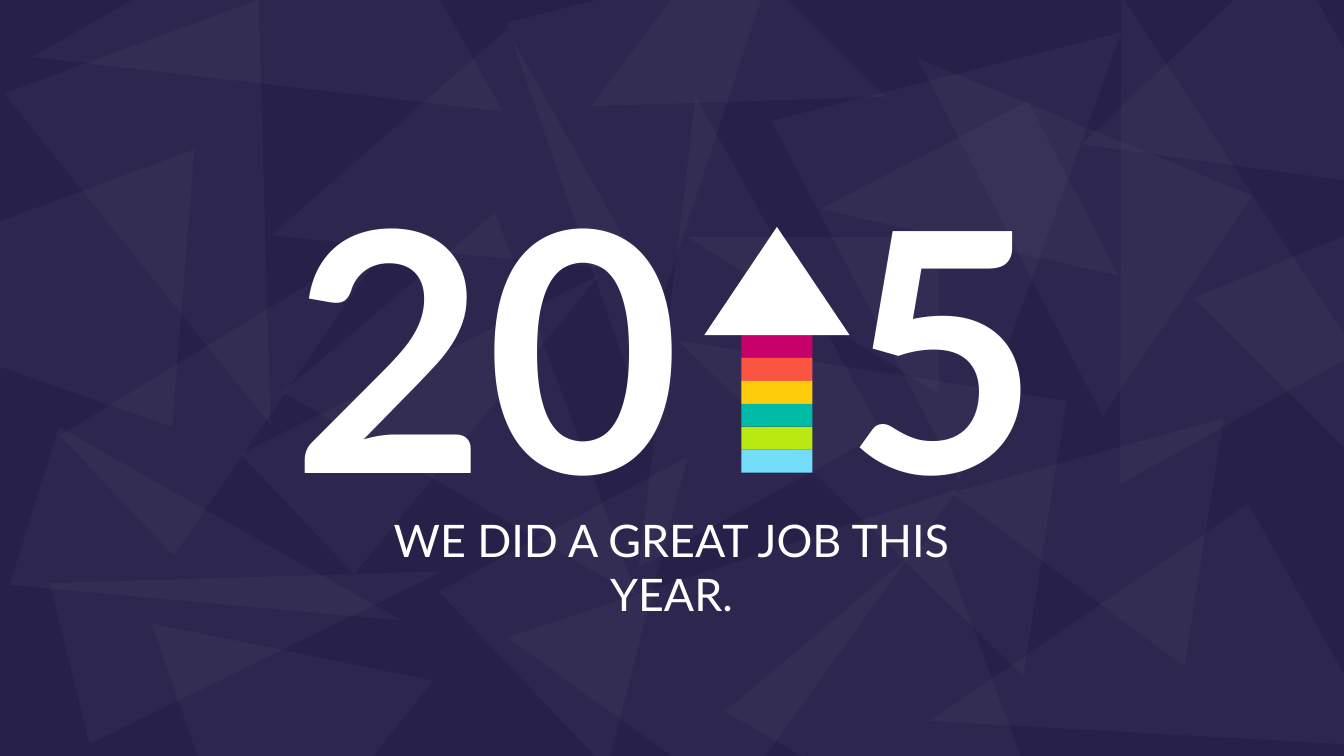
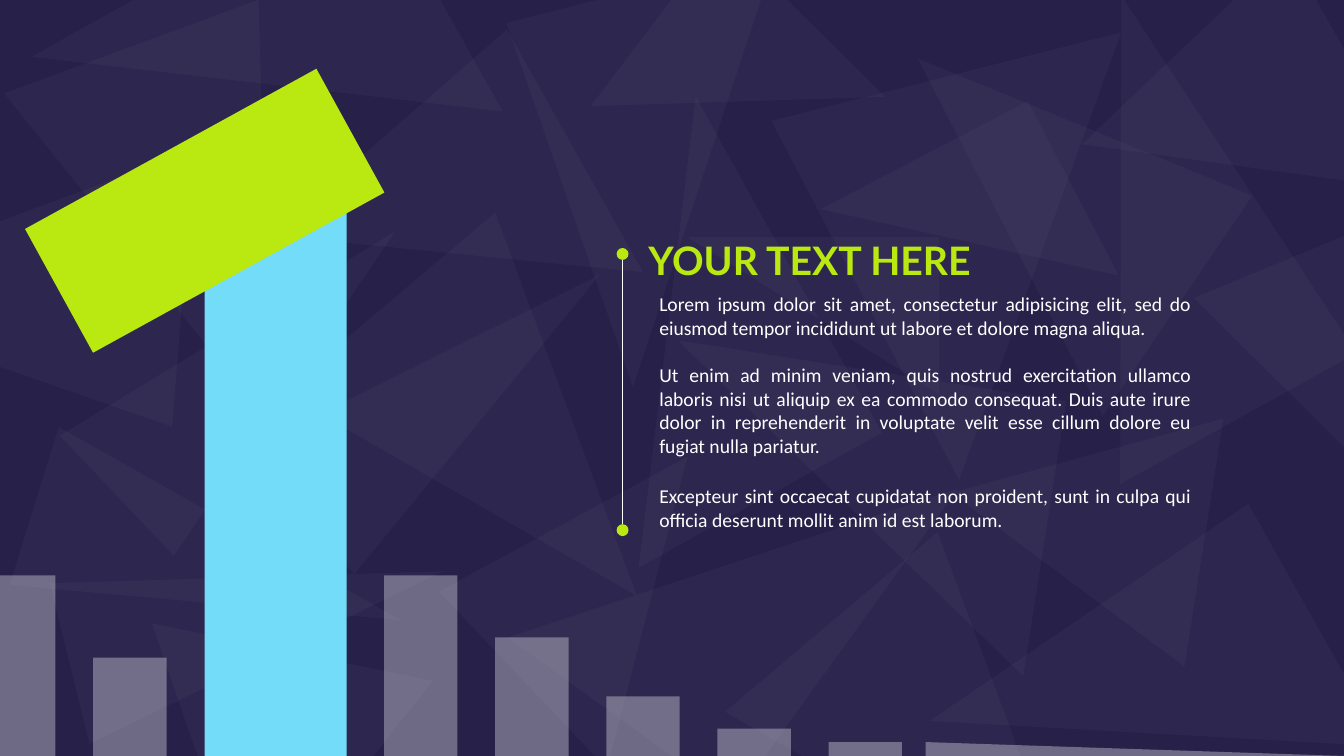
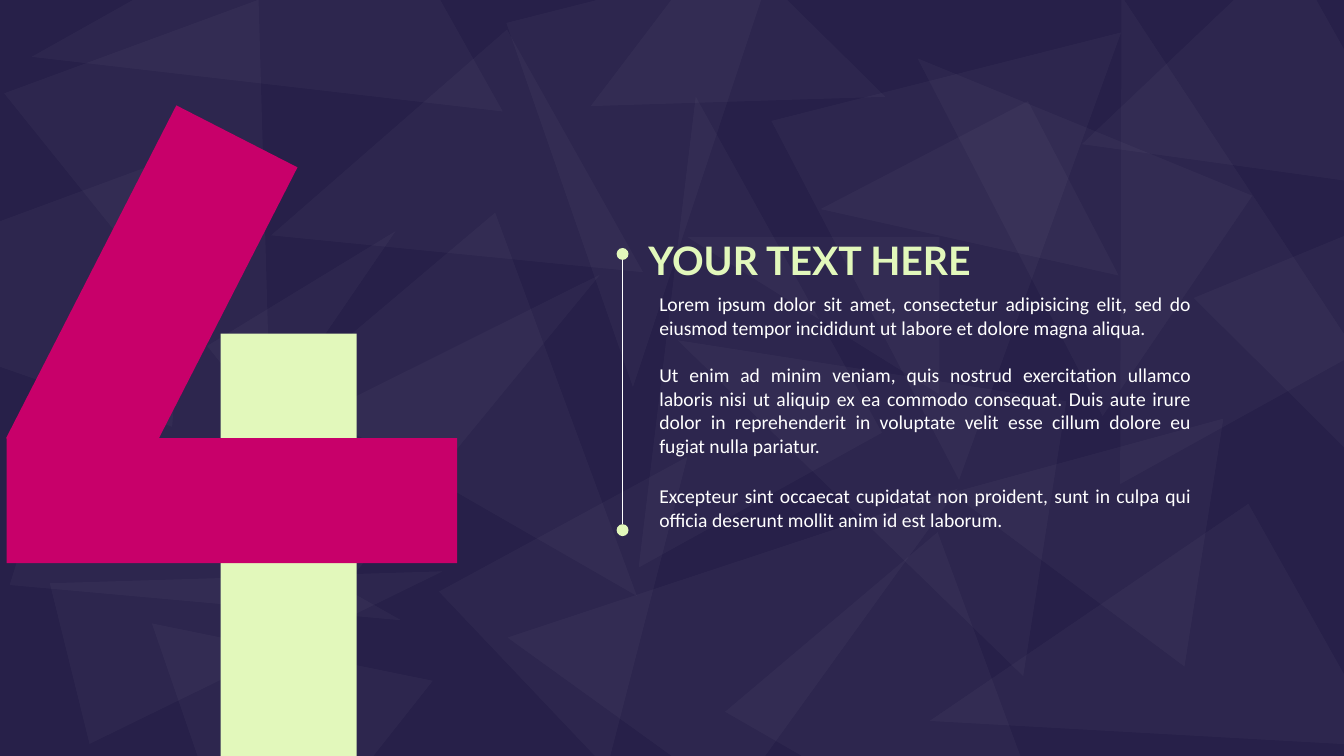
from dataclasses import dataclass

from lxml.etree import SubElement
from pptx import Presentation
from pptx.dml.color import RGBColor
from pptx.enum.shapes import MSO_CONNECTOR, MSO_SHAPE as Shape
from pptx.enum.text import MSO_ANCHOR, MSO_AUTO_SIZE, PP_ALIGN as Align
from pptx.oxml.ns import qn
from pptx.util import Cm, Pt


@dataclass(frozen=True)
class Theme:
    night: str = "272049"
    white: str = "FFFFFF"
    sky: str = "73DCF9"
    lime: str = "BAE811"
    teal: str = "00BBA6"
    yellow: str = "FFCC0B"
    coral: str = "FB5442"
    magenta: str = "C8006A"
    pale: str = "E2F8BB"
    head_font: str = "Lato"
    body_font: str = "Calibri"
    year_size: int = 239
    tagline_size: int = 32
    heading_size: int = 28
    body_size: int = 14
    facet_alpha: int = 3
    bar_alpha: int = 33


T = Theme()
SLIDE_W, SLIDE_H = 33.87, 19.05

# left, top, width, height, rotation, apex position
FACETS = [
    (3.4, 9.35, 4.17, 9.68, 107.3, 0.5),
    (4.37, 10.72, 4.17, 9.68, 76.1, 0.5),
    (1.65, 0.86, 6.83, 10.16, 159.8, 0.5),
    (4.37, 4.32, 4.17, 9.68, 46.5, 0.5),
    (12.6, 11.33, 6.15, 6.88, 46.5, 0.3),
    (9.42, 6.48, 7.01, 9.68, 139.8, 0.5),
    (23.98, 9.93, 6.32, 6.48, 278.9, 0.54),
    (17.93, 7.85, 7.01, 9.91, 278.9, 1),
    (14.96, 9.35, 7.01, 9.68, 35.8, 1),
    (25.2, 0.48, 6.81, 10.74, 331, 0.88),
    (13.31, 3.53, 7.01, 9.68, 331, 1),
    (15.44, -0.38, 5.82, 5.38, 224.6, 0.88),
    (20.52, 1.78, 9.09, 9.93, 165.8, 0.74),
    (13.84, -0.43, 7.01, 9.68, 165.8, 0.88),
    (7.62, 1.83, 7.01, 7.72, 240.7, 0.77),
    (25.45, 13.28, 7.01, 9.68, 240.7, 0.88),
    (18.52, 4.78, 3.96, 6.35, 270, 1),
    (-3.71, 2.03, 7.01, 9.68, 274.6, 0.36),
    (3.23, -2.72, 7.01, 9.68, 240.7, 1),
    (27.64, 0, 7.01, 6.93, 240.7, 0.75),
    (8.92, 4.78, 4.17, 9.68, 46.5, 0.71),
    (20.57, 14.53, 7.01, 9.68, 139.8, 0.5),
    (31.62, 5.59, 8.15, 9.68, 157.6, 0.5),
    (2.39, 14.83, 7.39, 6.45, 308.3, 0.56),
    (22.63, 0.74, 6.71, 8.92, 304.2, 0.72),
    (21.49, 3.63, 5.89, 4.95, 152.5, 0),
]

# space before in points, text
BODY = [
    (0, "Lorem ipsum dolor sit amet, consectetur adipisicing elit, sed do "
        "eiusmod tempor incididunt ut labore et dolore magna aliqua."),
    (17, "Ut enim ad minim veniam, quis nostrud exercitation ullamco laboris "
         "nisi ut aliquip ex ea commodo consequat. Duis aute irure dolor in "
         "reprehenderit in voluptate velit esse cillum dolore eu fugiat nulla "
         "pariatur."),
    (19, "Excepteur sint occaecat cupidatat non proident, sunt in culpa qui "
         "officia deserunt mollit anim id est laborum."),
]


def add_flat(shapes, kind, box, color, rot=0, alpha=None):
    """Add an unoutlined shape; alpha is its opacity in percent."""
    sp = shapes.add_shape(kind, *map(Cm, box))
    sp.shadow.inherit = False
    sp.fill.solid()
    sp.fill.fore_color.rgb = RGBColor.from_string(color)
    sp.line.fill.background()
    sp.rotation = rot
    if alpha is not None:
        clr = sp.element.spPr.find(".//" + qn("a:srgbClr"))
        SubElement(clr, qn("a:alpha")).set("val", str(alpha * 1000))
    return sp


def place(sp, box):
    """Move a placeholder and return its emptied text frame."""
    sp.left, sp.top, sp.width, sp.height = map(Cm, box)
    tf = sp.text_frame
    tf.auto_size = MSO_AUTO_SIZE.NONE
    tf.vertical_anchor = MSO_ANCHOR.TOP
    tf.word_wrap = True
    return tf


def style(p, font, size, color, align, bold=False, before=0):
    p.alignment = align
    p.space_before = Pt(before)
    for r in p.runs:
        r.font.name = font
        r.font.size = Pt(size)
        r.font.bold = bold
        r.font.color.rgb = RGBColor.from_string(color)


def dress_master(prs, s):
    """Build the faceted background on a slide, then move it to the master."""
    master = prs.slide_master
    master.background.fill.solid()
    master.background.fill.fore_color.rgb = RGBColor.from_string(T.night)
    for i, (*box, rot, apex) in enumerate(FACETS):
        sp = add_flat(s.shapes, Shape.ISOSCELES_TRIANGLE, box, T.white, rot,
                      T.facet_alpha)
        sp.adjustments[0] = apex
        sp.element.nvSpPr.cNvPr.id = 100 + i
        master.shapes.element.append(sp.element)


def add_striped_arrow(s, left, top, width, height):
    shapes = s.shapes.add_group_shape().shapes
    stripes = [T.magenta, T.coral, T.yellow, T.teal, T.lime, T.sky]
    head_h, stem_w = height * 0.44, width * 0.49
    stripe_h = (height - head_h) / len(stripes)
    for i, color in enumerate(stripes):
        add_flat(shapes, Shape.RECTANGLE,
                 (left + (width - stem_w) / 2, top + head_h + i * stripe_h,
                  stem_w, stripe_h), color)
    add_flat(shapes, Shape.ISOSCELES_TRIANGLE, (left, top, width, head_h),
             T.white)


def add_digit_one(s, left, top):
    shapes = s.shapes.add_group_shape().shapes
    stem_top = top + 0.48
    add_flat(shapes, Shape.RECTANGLE,
             (left + 4.19, stem_top, 3.58, SLIDE_H - stem_top), T.sky)
    add_flat(shapes, Shape.RECTANGLE, (left, top, 8.38, 3.56), T.lime, 331.2)


def add_digit_four(s, left, top):
    shapes = s.shapes.add_group_shape().shapes
    stem_top = top + 5.49
    add_flat(shapes, Shape.RECTANGLE,
             (left + 5.39, stem_top, 3.43, SLIDE_H - stem_top), T.pale)
    add_flat(shapes, Shape.RECTANGLE, (left + 1.94, top, 3.43, 9.42),
             T.magenta, 27.1)
    add_flat(shapes, Shape.RECTANGLE, (left, top + 8.12, 11.35, 3.15),
             T.magenta)


def add_skyline(s, left, bottom, right):
    """Draw falling bars, leaving a slot for the digit, and a closing wedge."""
    bar_w, gap, digit_w = 1.85, 0.95, 3.58
    bars = [(1.4, 4.55), (bar_w, 2.48), (digit_w, 0)]
    bars += [(bar_w, h) for h in (4.55, 2.99, 1.5, 0.69, 0.35)]
    x = left
    for w, h in bars:
        if h:
            add_flat(s.shapes, Shape.RECTANGLE, (x, bottom - h, w, h),
                     T.white, alpha=T.bar_alpha)
        x += w + gap
    wedge_w, wedge_h = 10.54, 0.35
    add_flat(s.shapes, Shape.RIGHT_TRIANGLE,
             (right - wedge_w, bottom - wedge_h, wedge_w, wedge_h),
             T.white, alpha=T.bar_alpha)


def add_rail(s, x, top, bottom, color):
    """Draw a thin vertical line with a dot at each end."""
    dot = 0.3
    line = s.shapes.add_connector(MSO_CONNECTOR.STRAIGHT, Cm(x), Cm(top),
                                  Cm(x), Cm(bottom - dot))
    line.line.color.rgb = RGBColor.from_string(T.white)
    line.line.width = Pt(0.5)
    SubElement(line.element.spPr, qn("a:effectLst"))
    for y in (top, bottom - dot):
        add_flat(s.shapes, Shape.OVAL, (x - dot / 2, y, dot, dot), color)


def add_text_panel(s, left, top, color):
    add_rail(s, left + 0.15, top + 0.43, top + 7.69, color)
    tf = place(s.shapes.title, (left + 0.54, top, 8.64, 1.45))
    tf.word_wrap = False
    tf.text = "YOUR TEXT HERE"
    style(tf.paragraphs[0], T.head_font, T.heading_size, color, Align.CENTER,
          bold=True)
    tf = place(s.placeholders[1], (left + 0.82, top + 1.42, 13.92, 6.25))
    tf.text = "\n".join(text for _, text in BODY)
    for p, (before, _) in zip(tf.paragraphs, BODY):
        style(p, T.body_font, T.body_size, T.white, Align.JUSTIFY,
              before=before)


def fill_cover(s):
    tf = place(s.shapes.title, (7.11, 3.38, 19.89, 10.46))
    p = tf.paragraphs[0]
    p.text = "20\t5"
    style(p, T.head_font, T.year_size, T.white, Align.LEFT, bold=True)
    tabs = SubElement(p._p.get_or_add_pPr(), qn("a:tabLst"))
    tab = SubElement(tabs, qn("a:tab"))
    tab.set("pos", str(Cm(13.95)))
    tab.set("algn", "l")
    tf = place(s.placeholders[1], (8.38, 12.8, 17.09, 3))
    tf.text = "WE DID A GREAT JOB THIS YEAR."
    style(tf.paragraphs[0], T.head_font, T.tagline_size, T.white, Align.CENTER)
    add_striped_arrow(s, 17.75, 5.72, 3.66, 6.19)


def main():
    prs = Presentation()
    prs.slide_width, prs.slide_height = Cm(SLIDE_W), Cm(SLIDE_H)
    cover_layout, text_layout = prs.slide_layouts[0], prs.slide_layouts[2]

    s = prs.slides.add_slide(cover_layout)
    dress_master(prs, s)
    fill_cover(s)

    s = prs.slides.add_slide(text_layout)
    add_digit_one(s, 0.97, 3.53)
    add_skyline(s, 0, SLIDE_H, SLIDE_W)
    add_text_panel(s, 15.54, 5.82, T.lime)

    s = prs.slides.add_slide(text_layout)
    add_digit_four(s, 0.17, 2.92)
    add_text_panel(s, 15.54, 5.82, T.pale)

    prs.save("out.pptx")


if __name__ == "__main__":
    main()
